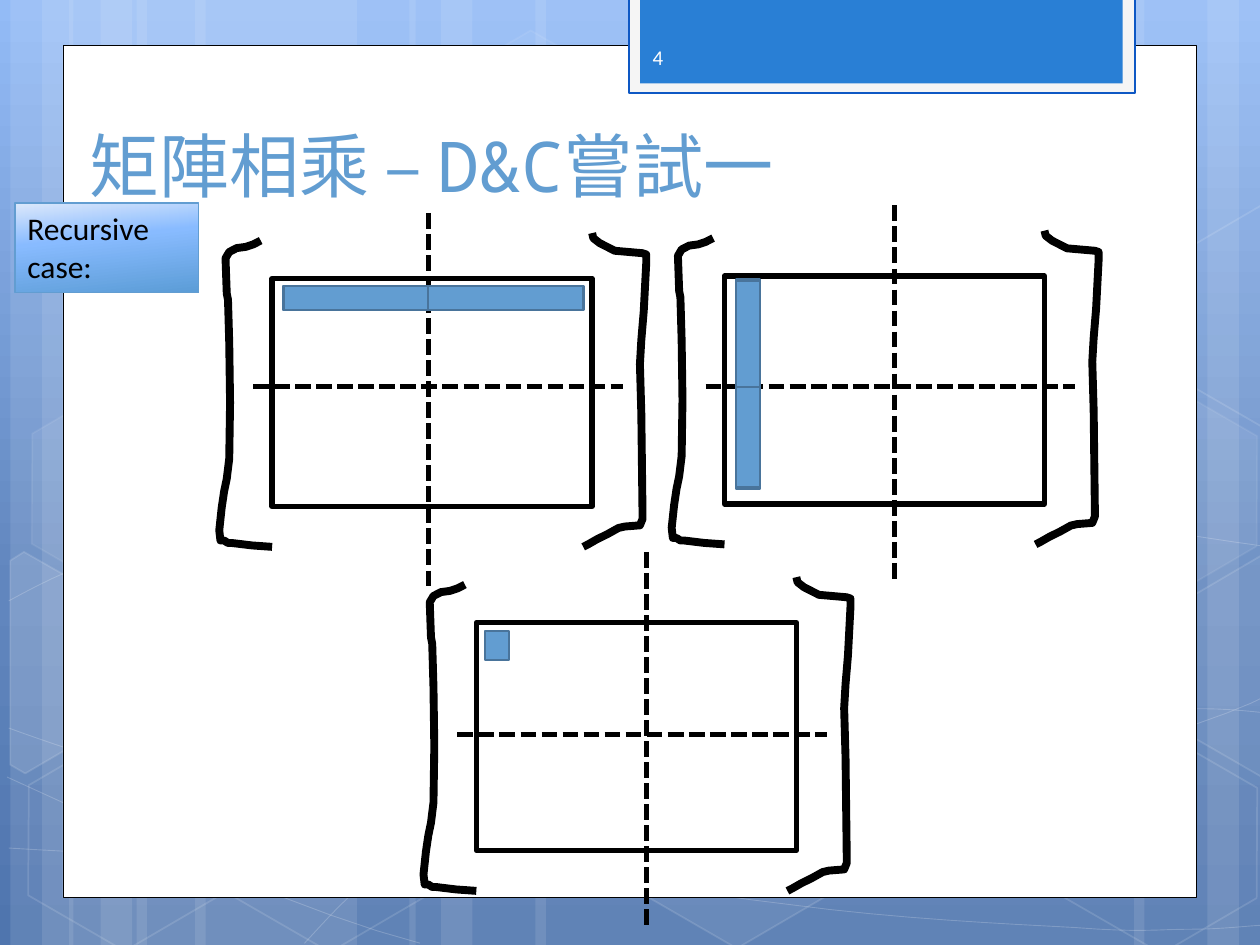
import pptx
import pptx.dml.color
import pptx.enum.dml
import pptx.enum.shapes
import pptx.enum.text
import pptx.oxml
import pptx.oxml.ns
import pptx.util

Pt = pptx.util.Pt
SHAPE = pptx.enum.shapes.MSO_SHAPE
ANCHOR = pptx.enum.text.MSO_ANCHOR

THEME = dict(
    white="FFFFFF", black="000000", accent="629DD1", cell_line="49749B",
    ribbon="297FD5", ribbon_frame="F5F5F5", ribbon_line="0E58C4", number="FEFEFE",
    sky=[(0, "93BBF6"), (62, "6186BE"), (100, "4F75AE")],
    glass=[(0, "DDE9FB"), (40, "88BBFF"), (100, "5C9DD7")],
    title_font="Noto Sans Mono", body_font="Calibri",
    title_size=40, body_size=18, number_size=12,
)

# Content: text, font, size, colour, box, anchor
TITLE = ("矩陣相乘 – D&C嘗試一", THEME["title_font"], THEME["title_size"], THEME["accent"])
LABEL = ("Recursive case:", THEME["body_font"], THEME["body_size"], THEME["black"])
NUMBER = ("4", THEME["body_font"], THEME["number_size"], THEME["number"])

# Matrices: corner of the box, x and top of the vertical split, y of the horizontal one
MATRIX_W, MATRIX_H = 182.9, 130.3
SPLIT_W, SPLIT_H, SPLIT_OUT = 211.2, 215.3, 10.8
MATRICES = [
    dict(corner=(272.2, 355.7), vertical=(369.4, 315.4), middle=419.8),
    dict(corner=(155.5, 159.1), vertical=(244.8, 121.7), middle=221),
    dict(corner=(414, 157.7), vertical=(511.2, 117.4), middle=221),
]
# Hand-drawn brackets, measured from the corner of the matrix
BRACKETS = [
    [(-6.5, -21.6), (-10.8, -19.4), (-15.1, -18), (-20.2, -17.3), (-24.5, -15.1),
     (-26.6, -11.5), (-25.9, 8.6), (-25.2, 12.2), (-24.5, 36.7), (-24, 71),
     (-24.5, 103), (-25.9, 114.5), (-27.4, 121.7), (-28.8, 131), (-30.2, 144),
     (-29.5, 149.8), (-27.4, 149.8), (-25.2, 151.2), (-23, 151.2),
     (-11.5, 152.6), (0, 153.4)],
    [(182.9, -25.9), (183.6, -23), (187.2, -20.2), (195.8, -15.8), (211.7, -14.4),
     (213.8, -13.7), (213.8, -8.6), (212.4, 18.7), (211, 35.3), (210.2, 49),
     (211, 77), (211.7, 133.2), (211.7, 137.5), (210.2, 141.1), (201.6, 141.8),
     (198, 142.6), (191.5, 146.2), (185.8, 149), (180.7, 151.9), (177.8, 153.4)],
]
CELLS = [
    (162, 163.4, 171.4, 13.7), (420.5, 159.8, 13.7, 119.5), (277.2, 360.7, 13.7, 16.6),
    (162, 163.4, 83.5, 13.7), (244.8, 163.4, 88.6, 13.7),
    (420.5, 221, 13.7, 57.6), (420.5, 160.6, 13.7, 60.5),
]

# Backdrop: strips (left, width), curves (Bezier points), hexagons (left, top, fill, line opacity)
STRIPS = [(78, 126), (6, 36), (24, 60), (111.5, 126), (39.5, 36), (57.5, 60),
          (528, 126), (690, 36), (648, 60), (306, 222), (234, 36), (252, 60)]
CURVES = [
    [(5, 484.6), (44, 487), (83, 489), (137, 488), (191, 487), (258, 486), (330, 479),
     (402, 472), (504, 458), (570, 444), (636, 431), (703, 409), (725, 397)],
    [(5, 343.4), (26, 332), (47, 321), (87, 310), (128, 300), (186, 285), (250, 279),
     (315, 274), (392, 273), (471, 279), (550, 284), (682, 307), (725, 312.5)],
    [(4, 444), (91, 484), (178, 523), (240, 539)],
    [(5, 416), (27, 424), (50, 432), (92, 444), (134, 454), (197, 472), (257, 485),
     (317, 497), (392, 510), (452, 517), (512, 525), (576, 528), (614, 530),
     (652, 533), (662, 531), (680, 531), (699, 531), (712, 529), (725, 528.5)],
    [(174, 539), (187, 525), (200, 510), (217, 498), (235, 485), (259, 470), (279, 460),
     (300, 450), (312, 446), (338, 438), (364, 431), (413, 421), (438, 416),
     (464, 411), (467, 411), (490, 410), (512, 407), (547, 405), (572, 405),
     (597, 404), (638, 405), (638, 405), (650, 405), (670, 405), (686, 405),
     (699, 405), (711, 406), (724, 407.5)],
]
HEXAGONS = [(240.5, 26, 4, 8), (357.8, 424, 6, 12), (8, 425.5, 0, 12), (10, 224.6, 7, 8),
            (125.3, 426.2, 0, 12), (542.2, 326.2, 10, 12), (600.5, 427, 0, 12),
            (600.5, 226, 7, 8)]
CUT_HEXAGONS = [
    ([(5.8, 320.4), (13.7, 315.4), (69.1, 347), (68.4, 410.4), (14.4, 442), (5.8, 437)], 10),
    ([(666.7, 349.2), (720.7, 317.5), (726.5, 321), (726.5, 441.4), (721.4, 444.2),
      (666.7, 412.6)], 4),
    ([(666.7, 149), (720.7, 117.4), (727.2, 121), (726.5, 241.2), (721.4, 244),
      (666.7, 212.4)], 0),
]


def rgb(code):
    return pptx.dml.color.RGBColor.from_string(code)


def fade(sp, where, percent):
    color = sp._element.xpath(f"./p:spPr/{where}a:solidFill/a:srgbClr")[0]
    color.append(pptx.oxml.parse_xml(
        f'<a:alpha {pptx.oxml.ns.nsdecls("a")} val="{percent * 1000}"/>'))


def paint(sp, fill=None, line=None, width=1, fill_alpha=100, line_alpha=100):
    sp.shadow.inherit = False
    if fill:
        sp.fill.solid()
        sp.fill.fore_color.rgb = rgb(fill)
        if fill_alpha < 100:
            fade(sp, "", fill_alpha)
    else:
        sp.fill.background()
    if line:
        sp.line.color.rgb = rgb(line)
        sp.line.width = Pt(width)
        if line_alpha < 100:
            fade(sp, "a:ln/", line_alpha)
    else:
        sp.line.fill.background()
    return sp


def gradient(owner, fill, stops, angle):
    fill.gradient()
    fill.gradient_angle = 360 - angle
    stop_list = owner._element.xpath(".//a:gsLst")[0]
    for old in list(stop_list):
        stop_list.remove(old)
    for place, code in stops:
        stop_list.append(pptx.oxml.parse_xml(
            f'<a:gs {pptx.oxml.ns.nsdecls("a")} pos="{place * 1000}">'
            f'<a:srgbClr val="{code}"/></a:gs>'))


def box(slide, x, y, w, h, kind=SHAPE.RECTANGLE, **style):
    return paint(slide.shapes.add_shape(kind, Pt(x), Pt(y), Pt(w), Pt(h)), **style)


def outline(slide, points, close=False, **style):
    start, *rest = [(Pt(x), Pt(y)) for x, y in points]
    builder = slide.shapes.build_freeform(*start)
    builder.add_line_segments(rest, close=close)
    return paint(builder.convert_to_shape(), **style)


def sample(points, steps=8):
    """Points along a chain of cubic Bezier curves."""
    result = [points[0]]
    for i in range(0, len(points) - 1, 3):
        for t in (n / steps for n in range(1, steps + 1)):
            weights = ((1 - t) ** 3, 3 * t * (1 - t) ** 2, 3 * t * t * (1 - t), t ** 3)
            result.append(tuple(sum(k * p[axis] for k, p in zip(weights, points[i:i + 4]))
                                for axis in (0, 1)))
    return result


def dashed(slide, x1, y1, x2, y2):
    cxn = slide.shapes.add_connector(
        pptx.enum.shapes.MSO_CONNECTOR.STRAIGHT, Pt(x1), Pt(y1), Pt(x2), Pt(y2))
    cxn.line.color.rgb = rgb(THEME["black"])
    cxn.line.width = Pt(3)
    cxn.line.dash_style = pptx.enum.dml.MSO_LINE.SQUARE_DOT
    cxn._element.spPr.append(pptx.oxml.parse_xml(
        f'<a:effectLst {pptx.oxml.ns.nsdecls("a")}/>'))


def write(sp, content, anchor):
    text, font, size, color = content
    tf = sp.text_frame
    tf.word_wrap = True
    tf.vertical_anchor = anchor
    p = tf.paragraphs[0]
    p.alignment = pptx.enum.text.PP_ALIGN.LEFT
    r = p.add_run()
    r.text = text
    r.font.name, r.font.size, r.font.color.rgb = font, Pt(size), rgb(color)


def textbox(slide, x, y, w, h, content, anchor):
    write(slide.shapes.add_textbox(Pt(x), Pt(y), Pt(w), Pt(h)), content, anchor)


def main():
    prs = pptx.Presentation()
    prs.slide_width, prs.slide_height = Pt(720), Pt(540)
    s = prs.slides.add_slide(prs.slide_layouts[6])
    white, black = THEME["white"], THEME["black"]

    # Backdrop
    gradient(s, s.background.fill, THEME["sky"], 90)
    for x, w in STRIPS:
        box(s, x, 0, w, 540, fill=white, fill_alpha=10)
    for curve in CURVES:
        outline(s, sample(curve), line=white, width=0.5, line_alpha=20)
    for x, y, opacity, edge in HEXAGONS:
        sp = box(s, x, y, 126, 109.4, SHAPE.HEXAGON, fill=white if opacity else None,
                 fill_alpha=opacity, line=white, line_alpha=edge)
        sp.adjustments[0] = 0.285
        sp.rotation = 30
    for points, opacity in CUT_HEXAGONS:
        outline(s, points, close=True, fill=white if opacity else None,
                fill_alpha=opacity, line=white, line_alpha=12)

    # Page and ribbon
    box(s, 36, 26, 648, 487, fill=white, line=black, width=0.5)
    box(s, 359.3, -1.4, 289.4, 54.7, fill=THEME["ribbon_frame"],
        line=THEME["ribbon_line"], width=1.25)
    box(s, 365.8, -1.4, 275.8, 49, fill=THEME["ribbon"])

    # Title
    textbox(s, 43.9, 31.7, 553, 90, TITLE, ANCHOR.BOTTOM)

    # Matrices with brackets and splitting lines
    for matrix in MATRICES:
        (x, y), (vx, vy), hy = matrix["corner"], matrix["vertical"], matrix["middle"]
        box(s, x, y, MATRIX_W, MATRIX_H, fill=white, line=black, width=3)
        for bracket in BRACKETS:
            outline(s, [(x + dx, y + dy) for dx, dy in bracket], line=black, width=4.5)
        dashed(s, vx, vy, vx, vy + SPLIT_H)
        dashed(s, x - SPLIT_OUT, hy, x - SPLIT_OUT + SPLIT_W, hy)

    # Highlighted row, column and entry
    for cell in CELLS:
        box(s, *cell, fill=THEME["accent"], line=THEME["cell_line"], width=1.25)

    # Label and slide number
    sp = box(s, 8.6, 116, 105, 51, line=THEME["accent"], width=0.75)
    gradient(sp, sp.fill, THEME["glass"], 84)
    write(sp, LABEL, ANCHOR.TOP)
    textbox(s, 365.8, 18, 105, 28.8, NUMBER, ANCHOR.MIDDLE)

    prs.save("out.pptx")


if __name__ == "__main__":
    main()
